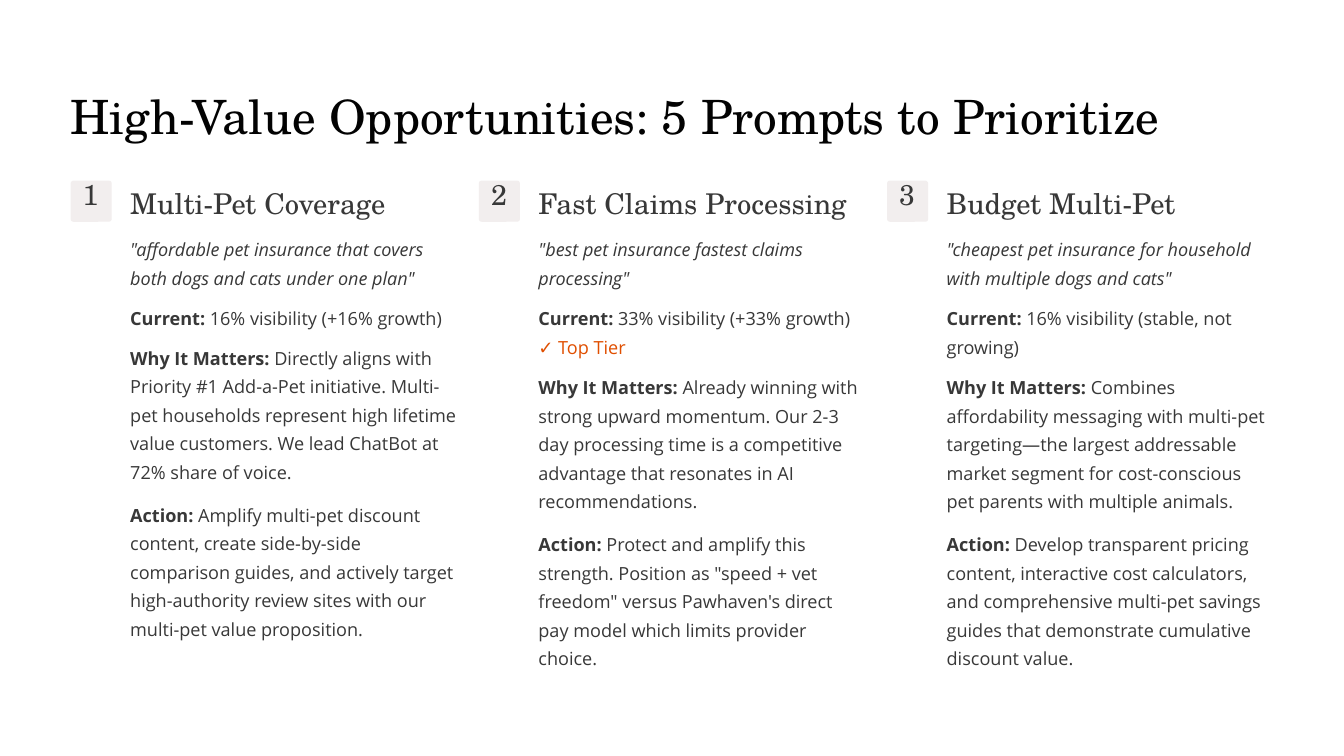
"""Build a slide with three prompt opportunities in numbered columns."""
from pptx import Presentation
from pptx.dml.color import RGBColor
from pptx.enum.shapes import MSO_SHAPE as Shape
from pptx.enum.text import PP_ALIGN as Align
from pptx.util import Inches, Pt

TITLE = "High-Value Opportunities: 5 Prompts to Prioritize"
CARDS = [
    ("Multi-Pet Coverage", [
        (2, [("\"affordable pet insurance that covers both dogs and cats under one plan\"", "italic")]),
        (1, [("Current:", "bold"), (" 16% visibility (+16% growth)", "")]),
        (5, [("Why It Matters:", "bold"),
             (" Directly aligns with Priority #1 Add-a-Pet initiative. Multi-pet households "
              "represent high lifetime value customers. We lead ChatBot at 72% share of voice.", "")]),
        (5, [("Action:", "bold"),
             (" Amplify multi-pet discount content, create side-by-side comparison guides, and "
              "actively target high-authority review sites with our multi-pet value proposition.", "")]),
    ]),
    ("Fast Claims Processing", [
        (2, [("\"best pet insurance fastest claims processing\"", "italic")]),
        (2, [("Current:", "bold"), (" 33% visibility (+33% growth) ", ""), ("✓ Top Tier", "accent")]),
        (5, [("Why It Matters:", "bold"),
             (" Already winning with strong upward momentum. Our 2-3 day processing time is a "
              "competitive advantage that resonates in AI recommendations.", "")]),
        (5, [("Action:", "bold"),
             (" Protect and amplify this strength. Position as \"speed + vet freedom\" versus "
              "Pawhaven's direct pay model which limits provider choice.", "")]),
    ]),
    ("Budget Multi-Pet", [
        (2, [("\"cheapest pet insurance for household with multiple dogs and cats\"", "italic")]),
        (2, [("Current:", "bold"), (" 16% visibility (stable, not growing)", "")]),
        (5, [("Why It Matters:", "bold"),
             (" Combines affordability messaging with multi-pet targeting—the largest addressable "
              "market segment for cost-conscious pet parents with multiple animals.", "")]),
        (5, [("Action:", "bold"),
             (" Develop transparent pricing content, interactive cost calculators, and comprehensive "
              "multi-pet savings guides that demonstrate cumulative discount value.", "")]),
    ]),
]

SERIF, SANS = "TeX Gyre Schola", "Open Sans"
WHITE = RGBColor(0xFF, 0xFF, 0xFF)
BLACK = RGBColor(0x02, 0x02, 0x02)
GRAY = RGBColor(0x38, 0x38, 0x38)
BADGE = RGBColor(0xF2, 0xEE, 0xEE)
ORANGE = RGBColor(0xE0, 0x4F, 0x00)

LEFT, STEP, INDENT, WIDE = 0.84, 4.86, 0.71, 3.89
TOP, LINE, GAP = 2.76, 0.35, 0.12


def add_text(slide, box, runs, size, lead, face=SERIF, color=GRAY, align=Align.LEFT):
    """Place one paragraph of styled runs in a box without margins."""
    frame = slide.shapes.add_textbox(*map(Inches, box)).text_frame
    frame.margin_left = frame.margin_right = frame.margin_top = frame.margin_bottom = 0
    frame.word_wrap = True
    para = frame.paragraphs[0]
    para.alignment, para.line_spacing = align, Pt(lead)
    para.font.name, para.font.size = face, Pt(size)
    para.font.color.rgb = color
    for text, style in runs:
        run = para.add_run()
        run.text = text
        if style == "bold":
            run.font.bold = True
        elif style == "italic":
            run.font.italic = True
        elif style == "accent":
            run.font.color.rgb = ORANGE


def add_badge(slide, left, label):
    """Draw a numbered square."""
    badge = slide.shapes.add_shape(Shape.ROUNDED_RECTANGLE, *map(Inches, (left, 2.15, 0.49, 0.49)))
    badge.adjustments[0] = 0.07
    badge.shadow.inherit = False
    badge.fill.solid()
    badge.fill.fore_color.rgb = BADGE
    badge.line.fill.background()
    add_text(slide, (left + 0.07, 2.18, 0.34, 0.43), [(label, "")], 24.5, 24.5, align=Align.CENTER)


def main():
    """Lay out the title and the columns."""
    deck = Presentation()
    deck.slide_width, deck.slide_height = Inches(16), Inches(9)
    slide = deck.slides.add_slide(deck.slide_layouts[6])
    slide.background.fill.solid()
    slide.background.fill.fore_color.rgb = WHITE
    add_text(slide, (LEFT, 1.01, 13.4, 0.71), [(TITLE, "")], 40.5, 51, color=BLACK)
    for index, (head, parts) in enumerate(CARDS):
        left = LEFT + index * STEP
        add_badge(slide, left, str(index + 1))
        add_text(slide, (left + INDENT, 2.2, WIDE, 0.43), [(head, "")], 24.5, 30.5)
        top = TOP
        for lines, runs in parts:
            high = lines * LINE
            add_text(slide, (left + INDENT, top, WIDE, high), runs, 15.5, 24.5, SANS)
            top += high + GAP
    deck.save("out.pptx")


if __name__ == "__main__":
    main()
